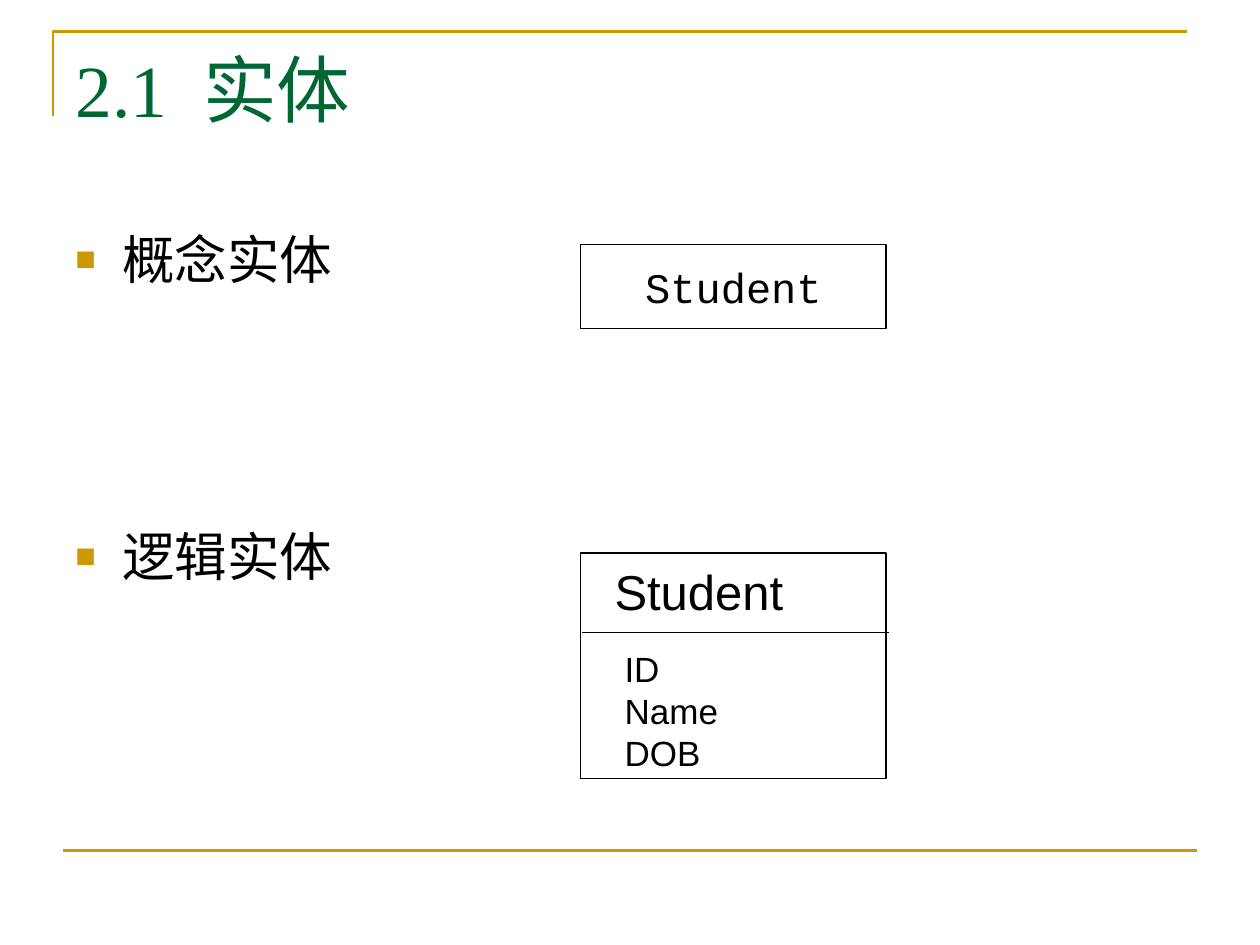
from typing import NamedTuple

from lxml import etree
from pptx import Presentation
from pptx.dml.color import RGBColor
from pptx.enum.shapes import MSO_CONNECTOR, MSO_SHAPE
from pptx.enum.text import MSO_ANCHOR, PP_ALIGN
from pptx.oxml.ns import qn
from pptx.util import Cm, Pt

STRAIGHT = MSO_CONNECTOR.STRAIGHT
RECTANGLE = MSO_SHAPE.RECTANGLE
TOP, MIDDLE = MSO_ANCHOR.TOP, MSO_ANCHOR.MIDDLE
LEFT, CENTER = PP_ALIGN.LEFT, PP_ALIGN.CENTER

COLORS = {"gold": "CC9900", "green": "006633", "black": "000000"}
BULLET_INDENT = Cm(0.95)
TITLE_TAB = Cm(2.58)


class Frame(NamedTuple):
    """Left, top, width and height in centimetres."""
    left: float
    top: float
    width: float
    height: float

    def lengths(self) -> list:
        return [Cm(value) for value in self]


class Rule(NamedTuple):
    """End points in centimetres, with line colour and width in points."""
    start: tuple
    end: tuple
    color: str
    weight: float


class Label(NamedTuple):
    frame: Frame
    lines: tuple
    font: str
    size: float
    color: str = "black"
    wrap: bool = False


ENTITY_BOXES = (Frame(11.71, 4.93, 6.15, 1.7), Frame(11.71, 11.15, 6.15, 4.55))
RULES = (
    Rule((1.27, 17.15), (24.13, 17.15), "gold", 1.5),
    Rule((17.93, 12.75), (11.73, 12.75), "black", 0.75),
)
TITLE = Label(Frame(1.27, 0.76, 22.86, 3.18), ("2.1\t实体",),
              "Times New Roman", 42, "green", True)
TOPICS = Label(Frame(1.27, 4.45, 22.86, 12.57), ("概念实体", "逻辑实体"),
               "Arial", 30, wrap=True)
LOGICAL_NAME = Label(Frame(12.14, 11.2, 3.91, 1.45), ("Student",), "Arial", 28)
ATTRIBUTES = Label(Frame(12.34, 12.93, 2.39, 2.79), ("ID", "Name", "DOB"), "Arial", 20)
CONCEPT_NAME = Label(ENTITY_BOXES[0], ("Student",), "Courier New", 24)


def rgb(name: str) -> RGBColor:
    return RGBColor.from_string(COLORS[name])


def apply(target, values: dict) -> None:
    for name, value in values.items():
        setattr(target, name, value)


def style_line(line, color: str, weight: float) -> None:
    line.color.rgb = rgb(color)
    line.width = Pt(weight)


def write(box, label: Label, anchor=TOP, align=LEFT) -> list:
    """Fill the box with one paragraph a line and return the paragraphs."""
    frame = box.text_frame
    apply(frame, {"word_wrap": label.wrap, "vertical_anchor": anchor})
    paras = []
    for index, line in enumerate(label.lines):
        para = frame.add_paragraph() if index else frame.paragraphs[0]
        para.alignment = align
        span = para.add_run()
        span.text = line
        apply(span.font, {"name": label.font, "size": Pt(label.size)})
        span.font.color.rgb = rgb(label.color)
        paras.append(para)
    return paras


def add_label(page, label: Label) -> list:
    return write(page.shapes.add_textbox(*label.frame.lengths()), label)


def add_rule(page, rule: Rule) -> None:
    ends = [Cm(value) for value in rule.start + rule.end]
    connector = page.shapes.add_connector(STRAIGHT, *ends)
    style_line(connector.line, rule.color, rule.weight)
    etree.SubElement(connector._element.spPr, qn("a:effectLst"))


def add_corner(page) -> None:
    builder = page.shapes.build_freeform(Cm(1.07), Cm(2.34))
    builder.add_line_segments(
        [(Cm(1.07), Cm(0.64)), (Cm(23.93), Cm(0.64))], close=False)
    corner = builder.convert_to_shape()
    corner.shadow.inherit = False
    corner.fill.background()
    style_line(corner.line, "gold", 1.5)


def add_entity_box(page, frame: Frame):
    box = page.shapes.add_shape(RECTANGLE, *frame.lengths())
    box.shadow.inherit = False
    box.fill.background()
    style_line(box.line, "black", 0.75)
    return box


def set_tab(para, position: int) -> None:
    tabs = etree.SubElement(para._p.get_or_add_pPr(), qn("a:tabLst"))
    etree.SubElement(tabs, qn("a:tab"), pos=str(position), algn="l")


def set_bullet(para) -> None:
    props = para._p.get_or_add_pPr()
    props.set("marL", str(BULLET_INDENT))
    props.set("indent", str(-BULLET_INDENT))
    color = etree.SubElement(props, qn("a:buClr"))
    etree.SubElement(color, qn("a:srgbClr"), val=COLORS["gold"])
    etree.SubElement(props, qn("a:buSzPct"), val="65000")
    etree.SubElement(props, qn("a:buFont"), typeface="Arial")
    etree.SubElement(props, qn("a:buChar"), char="■")


def main() -> None:
    deck = Presentation()
    apply(deck, {"slide_width": Cm(25.4), "slide_height": Cm(19.05)})
    page = deck.slides.add_slide(deck.slide_layouts[6])

    add_corner(page)
    set_tab(add_label(page, TITLE)[0], TITLE_TAB)
    topics = add_label(page, TOPICS)
    for para in topics:
        set_bullet(para)
    topics[1].space_before = Pt(133.5)

    concept_box, _ = [add_entity_box(page, frame) for frame in ENTITY_BOXES]
    write(concept_box, CONCEPT_NAME, MIDDLE, CENTER)
    for rule in RULES:
        add_rule(page, rule)
    for label in (LOGICAL_NAME, ATTRIBUTES):
        add_label(page, label)

    deck.save("out.pptx")


if __name__ == "__main__":
    main()
